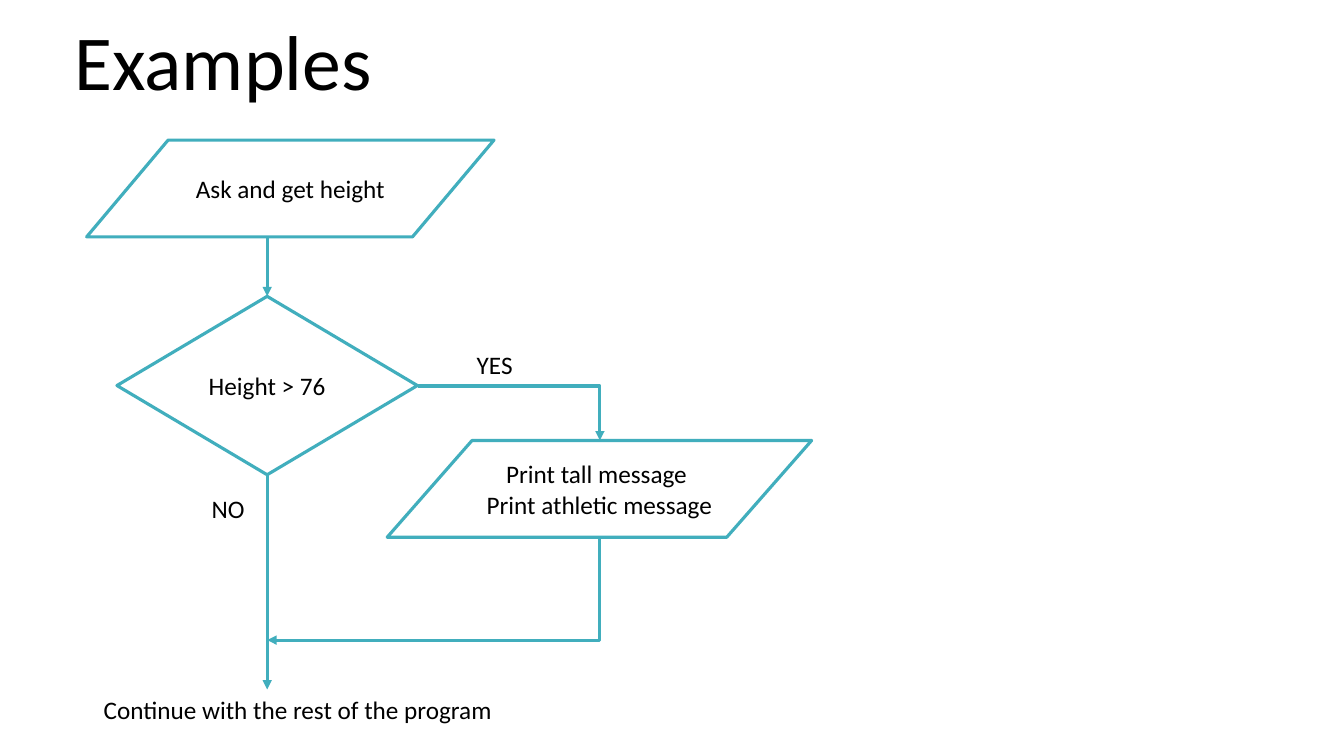
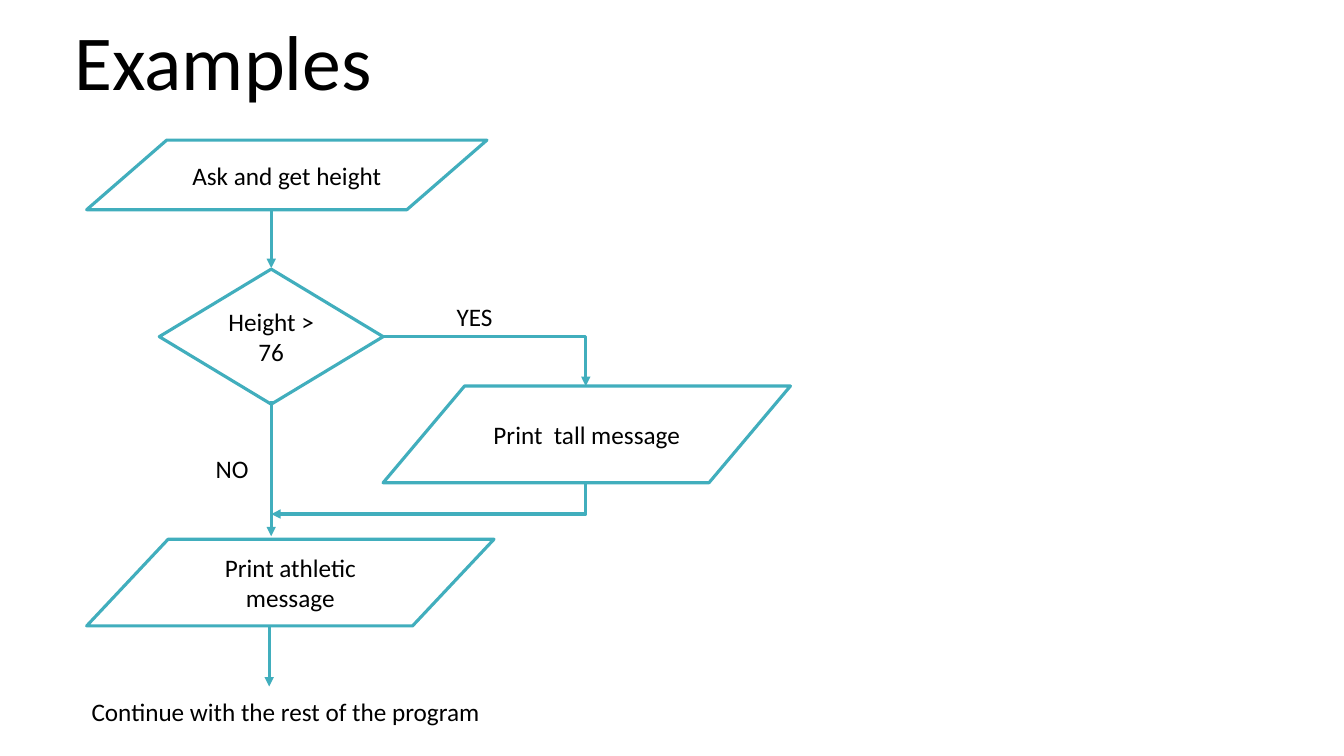
from dataclasses import dataclass
from typing import Any

from pptx import Presentation
from pptx.dml.color import RGBColor
from pptx.enum.shapes import MSO_CONNECTOR as Connector, MSO_SHAPE as Preset
from pptx.enum.text import MSO_ANCHOR as Anchor, MSO_AUTO_SIZE as AutoSize, PP_ALIGN as Align
from pptx.oxml.ns import qn
from pptx.util import Emu, Pt
from lxml.etree import SubElement

PX = 9144
COLORS = {"ink": "000000", "paper": "FFFFFF", "teal": "41AEBD"}
FONT = {"name": "Calibri", "bold": False}
TITLE_BOX = (-154, 23, 751, 90)
TITLE_FRAME = {"vertical_anchor": Anchor.MIDDLE, "word_wrap": True, "auto_size": AutoSize.NONE}
TITLE_PARA = {"alignment": Align.CENTER, "line_spacing": 0.8}
NODE_FRAME = {"vertical_anchor": Anchor.MIDDLE, "word_wrap": True}
NODE_PARA = {"alignment": Align.CENTER}
LABEL_FRAME = {"word_wrap": False, "auto_size": AutoSize.SHAPE_TO_FIT_TEXT}
LABEL_PARA = {"alignment": Align.LEFT}
DECISION = Preset.FLOWCHART_DECISION
DATA = Preset.FLOWCHART_DATA


@dataclass(frozen=True)
class Node:
    preset: Any
    box: tuple[int, int, int, int]
    text: str


@dataclass(frozen=True)
class Label:
    box: tuple[int, int, int, int]
    text: str


@dataclass(frozen=True)
class Arrow:
    start: tuple[int, int]
    end: tuple[int, int]


@dataclass(frozen=True)
class Flowchart:
    title: str
    nodes: list[Node]
    arrows: list[Arrow]
    labels: list[Label]


FLOWCHARTS = [
    Flowchart(
        "Examples",
        [
            Node(DECISION, (116, 294, 298, 177), "Height > 76"),
            Node(DATA, (86, 139, 404, 96), "Ask and get height"),
            Node(DATA, (384, 437, 421, 96), "Print tall message \nPrint athletic message"),
        ],
        [
            Arrow((265, 235), (265, 294)),
            Arrow((415, 383), (595, 437)),
            Arrow((265, 471), (265, 684)),
            Arrow((595, 534), (265, 635)),
        ],
        [
            Label((463, 342, 63, 40), "YES"),
            Label((200, 484, 56, 40), "NO"),
            Label((93, 684, 414, 40), "Continue with the rest of the program"),
        ],
    ),
    Flowchart(
        "Examples",
        [
            Node(DECISION, (158, 267, 222, 134), "Height > 76"),
            Node(DATA, (86, 139, 397, 69), "Ask and get height"),
            Node(DATA, (380, 383, 404, 96), "Print  tall message"),
            Node(DATA, (86, 535, 404, 86), "Print athletic message"),
        ],
        [
            Arrow((269, 207), (269, 266)),
            Arrow((380, 334), (581, 383)),
            Arrow((269, 398), (269, 532)),
            Arrow((581, 480), (269, 510)),
            Arrow((267, 622), (267, 681)),
        ],
        [
            Label((443, 294, 63, 40), "YES"),
            Label((204, 445, 56, 40), "NO"),
            Label((81, 686, 414, 40), "Continue with the rest of the program"),
        ],
    ),
]


def px(value: float) -> Emu:
    return Emu(round(value * PX))


def color(name: str) -> RGBColor:
    return RGBColor.from_string(COLORS[name])


def apply_format(target: Any, values: dict[str, Any]) -> None:
    for name, value in values.items():
        setattr(target, name, value)


def place(shape: Any, box: tuple[float, float, float, float]) -> None:
    apply_format(shape, dict(zip(("left", "top", "width", "height"), map(px, box))))


def write(shape: Any, text: str, size: float, frame_format: dict, para_format: dict) -> None:
    frame = shape.text_frame
    frame.text = text
    apply_format(frame, frame_format)
    for para in frame.paragraphs:
        apply_format(para, para_format)
        for span in para.runs:
            apply_format(span.font, FONT | {"size": Pt(size)})
            span.font.color.rgb = color("ink")


def outline(shape: Any) -> None:
    shape.line.color.rgb = color("teal")
    shape.line.width = Pt(2.25)


def draw_node(page: Any, node: Node) -> None:
    shape = page.shapes.add_shape(node.preset, *map(px, node.box))
    shape.shadow.inherit = False
    shape.fill.solid()
    shape.fill.fore_color.rgb = color("paper")
    outline(shape)
    write(shape, node.text, 18, NODE_FRAME, NODE_PARA)


def draw_label(page: Any, label: Label) -> None:
    box = page.shapes.add_textbox(*map(px, label.box))
    write(box, label.text, 18, LABEL_FRAME, LABEL_PARA)


def draw_arrow(page: Any, arrow: Arrow) -> None:
    (x1, y1), (x2, y2) = arrow.start, arrow.end
    bent = x1 != x2
    kind = Connector.ELBOW if bent else Connector.STRAIGHT
    line = page.shapes.add_connector(kind, *map(px, (x1, y1, x2, y2)))
    outline(line)
    properties = line._element.spPr
    if bent:
        properties.find(qn("a:prstGeom")).set("prst", "bentConnector2")
    if x2 < x1:
        across, down = x1 - x2, y2 - y1
        transform = properties.find(qn("a:xfrm"))
        transform.attrib.pop("flipH", None)
        transform.set("rot", "5400000")
        place(line, ((x1 + x2 - down) / 2, (y1 + y2 - across) / 2, down, across))
    SubElement(line.line._get_or_add_ln(), qn("a:tailEnd"), type="triangle")
    SubElement(properties, qn("a:effectLst"))


def draw_flowchart(deck: Any, layout: Any, chart: Flowchart) -> None:
    page = deck.slides.add_slide(layout)
    write(page.shapes.title, chart.title, 55.5, TITLE_FRAME, TITLE_PARA)
    for node in chart.nodes:
        draw_node(page, node)
    for arrow in chart.arrows:
        draw_arrow(page, arrow)
    for label in chart.labels:
        draw_label(page, label)


def main() -> None:
    deck = Presentation()
    apply_format(deck, {"slide_width": px(1333), "slide_height": px(750)})
    layout = deck.slide_layouts.get_by_name("Title Only")
    place(layout.placeholders[0], TITLE_BOX)
    for chart in FLOWCHARTS:
        draw_flowchart(deck, layout, chart)
    deck.save("out.pptx")


if __name__ == "__main__":
    main()
